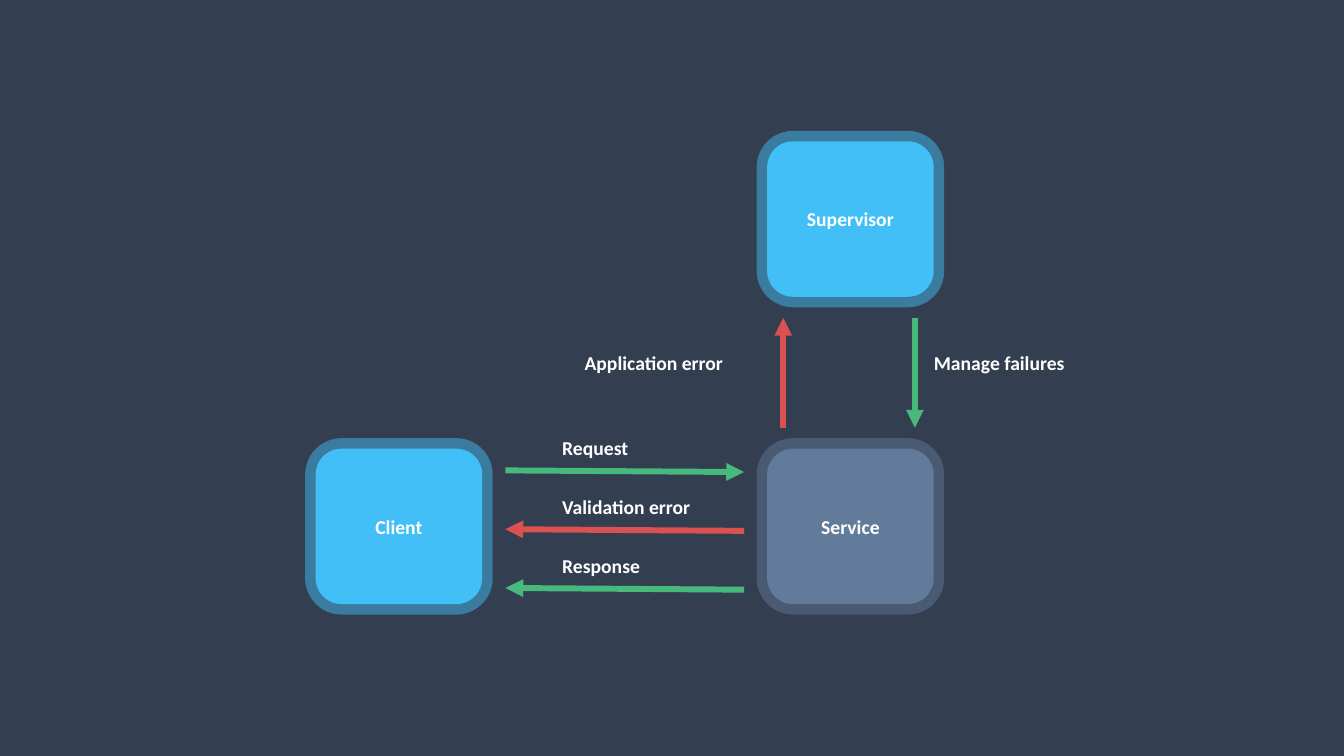
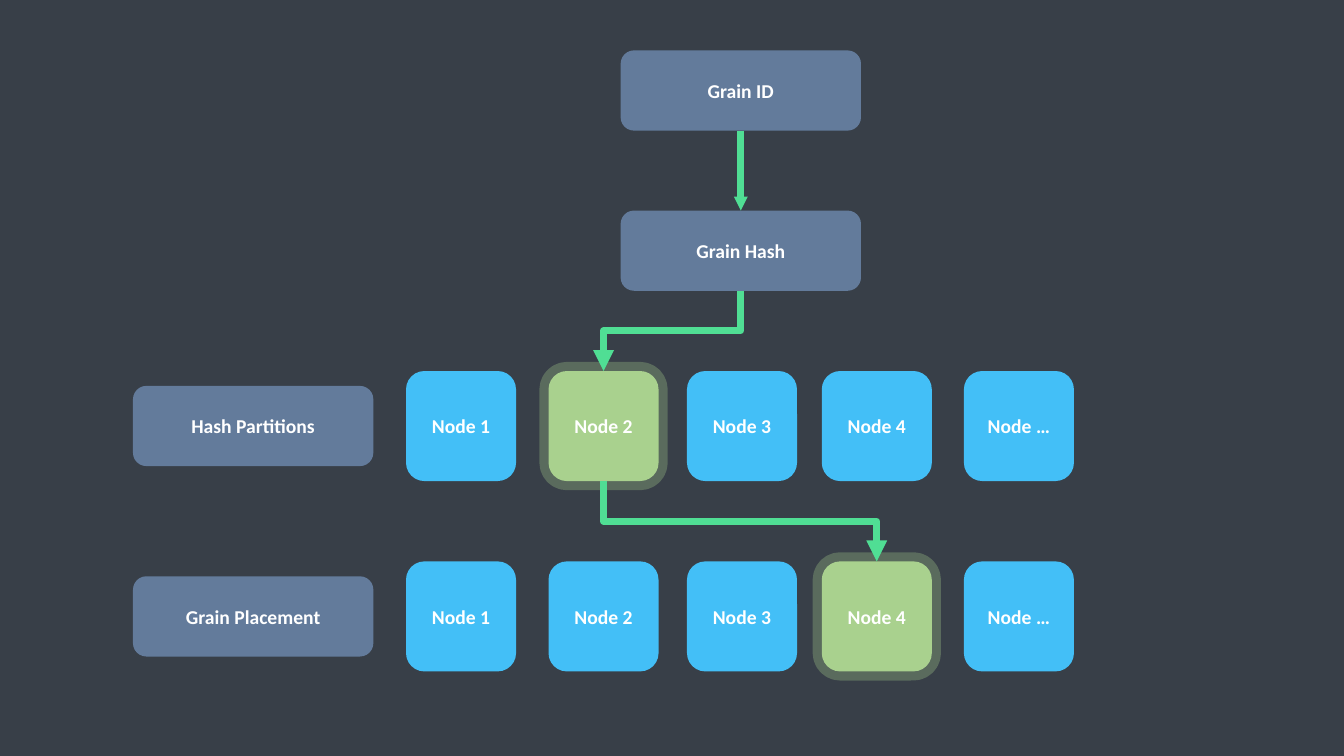
from dataclasses import dataclass

from lxml import etree
from pptx import Presentation
from pptx.dml.color import RGBColor
from pptx.enum.shapes import MSO_CONNECTOR, MSO_SHAPE
from pptx.enum.text import MSO_ANCHOR, PP_ALIGN
from pptx.oxml.ns import qn
from pptx.util import Pt

ROUNDED = MSO_SHAPE.ROUNDED_RECTANGLE
STRAIGHT, ELBOW = MSO_CONNECTOR.STRAIGHT, MSO_CONNECTOR.ELBOW
MIDDLE, CENTER, LEFT = MSO_ANCHOR.MIDDLE, PP_ALIGN.CENTER, PP_ALIGN.LEFT
TOP_SITE, BOTTOM_SITE = 0, 2


@dataclass(frozen=True)
class Theme:
    """Colours, font, type size and line widths of the deck."""
    navy: str = "333F50"
    charcoal: str = "383F48"
    slate: str = "637B9B"
    sky: str = "43BFF7"
    leaf: str = "A9D18E"
    green: str = "47B97D"
    red: str = "DB5151"
    mint: str = "50DE94"
    white: str = "FFFFFF"
    font: str = "Calibri"
    text_size: float = 14
    message_width: float = 4.25
    route_width: float = 5


THEME = Theme()


def add_slide(presentation, background):
    """Add a blank slide with a plain background."""
    slide = presentation.slides.add_slide(presentation.slide_layouts[6])
    slide.background.fill.solid()
    slide.background.fill.fore_color.rgb = RGBColor.from_string(background)
    return slide


def write(text_frame, text, alignment):
    """Write one bold white line."""
    paragraph = text_frame.paragraphs[0]
    paragraph.text = text
    paragraph.alignment = alignment
    paragraph.font.name = THEME.font
    paragraph.font.size = Pt(THEME.text_size)
    paragraph.font.bold = True
    paragraph.font.color.rgb = RGBColor.from_string(THEME.white)


def add_box(slide, text, left, top, width, height, color, halo=0, opacity=100):
    """Add a rounded box, with a translucent halo when one is given."""
    shape = slide.shapes.add_shape(ROUNDED, Pt(left), Pt(top), Pt(width), Pt(height))
    shape.shadow.inherit = False
    shape.fill.solid()
    shape.fill.fore_color.rgb = RGBColor.from_string(color)
    if halo:
        shape.line.width = Pt(halo)
        shape.line.color.rgb = RGBColor.from_string(color)
        line_color = shape.line._get_or_add_ln().find(".//" + qn("a:srgbClr"))
        etree.SubElement(line_color, qn("a:alpha")).set("val", str(opacity * 1000))
    else:
        shape.line.fill.background()
    shape.text_frame.word_wrap = True
    shape.text_frame.vertical_anchor = MIDDLE
    write(shape.text_frame, text, CENTER)
    return shape


def add_label(slide, text, left, top):
    """Add the caption of an arrow."""
    label = slide.shapes.add_textbox(Pt(left), Pt(top), Pt(130), Pt(24.5))
    label.text_frame.word_wrap = True
    write(label.text_frame, text, LEFT)


def add_arrow(slide, kind, start, end, color, width, head="med"):
    """Add a connector with a triangle at its end."""
    points = [Pt(value) for value in (*start, *end)]
    connector = slide.shapes.add_connector(kind, *points)
    connector.line.width = Pt(width)
    connector.line.color.rgb = RGBColor.from_string(color)
    line = connector.line._get_or_add_ln()
    etree.SubElement(line, qn("a:round"))
    tail = etree.SubElement(line, qn("a:tailEnd"))
    for name, value in (("type", "triangle"), ("w", head), ("len", head)):
        tail.set(name, value)
    etree.SubElement(line.getparent(), qn("a:effectLst"))
    return connector


def join_down(slide, kind, upper, lower, head="med"):
    """Join the bottom of one box to the top of another."""
    arrow = add_arrow(slide, kind, (0, 0), (0, 0), THEME.mint, THEME.route_width, head)
    arrow.begin_connect(upper, BOTTOM_SITE)
    arrow.end_connect(lower, TOP_SITE)
    if kind == ELBOW:
        turn_vertical(arrow)


def turn_vertical(arrow):
    """Turn a downward elbow so that it leaves and arrives vertically."""
    goes_left = arrow.end_x < arrow.begin_x
    left, top, width, height = arrow.left, arrow.top, arrow.width, arrow.height
    arrow.left = left + (width - height) // 2
    arrow.top = top + (height - width) // 2
    arrow.width, arrow.height = height, width
    transform = arrow.element.find(".//" + qn("a:xfrm"))
    transform.set("flipH", "0" if goes_left else "1")
    transform.set("rot", str((90 if goes_left else 270) * 60000))


def add_supervision(slide, left, top, width, height):
    """Draw a client, a service and its supervisor with their messages."""
    box_width, box_height, gap = 119, 111, 15
    right_column = left + width - box_width
    lower_row = top + height - box_height
    boxes = (
        ("Service", right_column, lower_row, THEME.slate, 46),
        ("Supervisor", right_column, top, THEME.sky, 48),
        ("Client", left, lower_row, THEME.sky, 48),
    )
    for text, box_left, box_top, color, opacity in boxes:
        add_box(slide, text, box_left, box_top, box_width, box_height, color, 15, opacity)

    message_left = left + box_width + gap + 1.5
    message_right = right_column - gap - 1.5
    messages = (
        ("Request", THEME.green, True),
        ("Validation error", THEME.red, False),
        ("Response", THEME.green, False),
    )
    for index, (text, color, to_service) in enumerate(messages):
        y = lower_row + 15.5 + 42 * index
        ends = [(message_left, y), (message_right, y + 1.2)]
        start, end = ends if to_service else ends[::-1]
        add_arrow(slide, STRAIGHT, start, end, color, THEME.message_width)
        add_label(slide, text, message_left + 33.5, y - 28)

    upper_y, lower_y = top + box_height + gap, lower_row - gap
    failures = (
        ("Application error", THEME.red, 11.5, lower_y, upper_y, -149),
        ("Manage failures", THEME.green, 105.5, upper_y, lower_y, 6.5),
    )
    for text, color, offset, start_y, end_y, label_offset in failures:
        x = right_column + offset
        add_arrow(slide, STRAIGHT, (x, start_y), (x, end_y), color, THEME.message_width)
        add_label(slide, text, x + label_offset, upper_y + 20)


def add_node_row(slide, left, top, title, chosen):
    """Draw a titled row of nodes and return the chosen one."""
    size, title_height = 78.6, 57.3
    add_box(slide, title, left, top + (size - title_height) / 2, 171.7, title_height, THEME.slate)
    nodes = {}
    offsets = {"Node 1": 195, "Node 2": 296.8, "Node 3": 395.7, "Node 4": 492, "Node …": 593.5}
    for text, offset in offsets.items():
        color, halo = (THEME.leaf, 13) if text == chosen else (THEME.sky, 0)
        nodes[text] = add_box(slide, text, left + offset, top, size, size, color, halo, 30)
    return nodes[chosen]


def add_placement(slide, left, top):
    """Draw the way from a grain ID through its hash to a node."""
    grain_id, grain_hash = (
        add_box(slide, text, left + 348.3, top + offset, 171.7, 57.3, THEME.slate)
        for text, offset in (("Grain ID", 0), ("Grain Hash", 114.4))
    )
    partition = add_node_row(slide, left, top + 229, "Hash Partitions", "Node 2")
    placement = add_node_row(slide, left, top + 365, "Grain Placement", "Node 4")
    join_down(slide, STRAIGHT, grain_id, grain_hash, "sm")
    join_down(slide, ELBOW, grain_hash, partition)
    join_down(slide, ELBOW, partition, placement)


def main():
    """Build and save the deck."""
    presentation = Presentation()
    presentation.slide_width, presentation.slide_height = Pt(960), Pt(540)
    add_supervision(add_slide(presentation, THEME.navy), 225.5, 101, 441.5, 330.5)
    add_placement(add_slide(presentation, THEME.charcoal), 95, 36)
    presentation.save("out.pptx")


if __name__ == "__main__":
    main()
